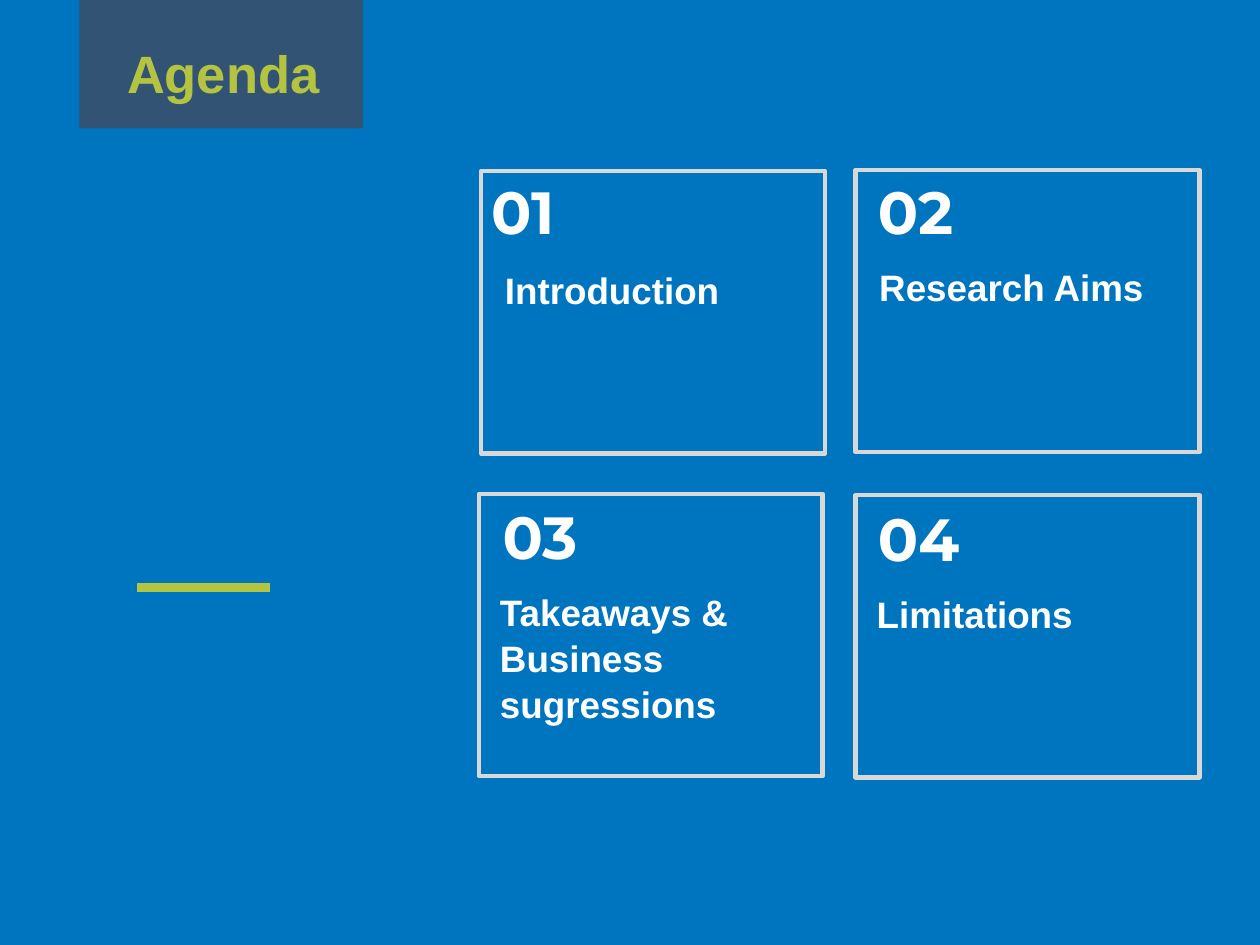
from pptx import Presentation
from pptx.dml.color import RGBColor
from pptx.enum.shapes import MSO_CONNECTOR, MSO_SHAPE
from pptx.enum.text import MSO_ANCHOR, PP_ALIGN
from pptx.oxml.ns import qn
from pptx.util import Inches, Pt

BLUE = RGBColor(0x00, 0x75, 0xBF)
NAVY = RGBColor(0x33, 0x53, 0x75)
LIME = RGBColor(0xB4, 0xC4, 0x40)
GREY = RGBColor(0xD8, 0xD8, 0xD8)
WHITE = RGBColor(0xFF, 0xFF, 0xFF)

TITLE = "Agenda"
CARD_SIZE = (2.73, 2.24)
NUMBER_SIZE = (1.54, 1.11)
# Card corner, number corner, label box, label
CARDS = [
    ((3.82, 1.36), (3.8, 1.32), (3.91, 2.06, 2.07, 1.01), "Introduction"),
    ((6.79, 1.35), (6.87, 1.32), (6.88, 2.04, 2.53, 1.22), "Research Aims"),
    ((3.8, 3.92), (3.89, 3.9), (3.87, 4.62, 2.73, 1.22),
     "Takeaways & Business sugressions"),
    ((6.79, 3.93), (6.87, 3.91), (6.86, 4.63, 2.73, 1.22), "Limitations"),
]
NUMBER_FONT = {"name": "Montserrat", "size": Pt(34), "bold": True}
LABEL_FONT = {"name": "Arial", "size": Pt(21), "bold": True}
TITLE_FONT = {"name": "Arial", "size": Pt(30), "bold": True}


def add_rect(slide, box, fill=None, line=None):
    s = slide.shapes.add_shape(MSO_SHAPE.RECTANGLE, *map(Inches, box))
    s.shadow.inherit = False
    if fill is None:
        s.fill.background()
    else:
        s.fill.solid()
        s.fill.fore_color.rgb = fill
    if line is None:
        s.line.fill.background()
    else:
        s.line.color.rgb = line
        s.line.width = Pt(2.5)


def add_text(slide, box, text, font, color, spacing=1.04):
    tf = slide.shapes.add_textbox(*map(Inches, box)).text_frame
    tf.word_wrap = True
    tf.vertical_anchor = MSO_ANCHOR.TOP
    p = tf.paragraphs[0]
    p.alignment = PP_ALIGN.LEFT
    p.line_spacing = spacing
    r = p.add_run()
    r.text = text
    for name, value in font.items():
        setattr(r.font, name, value)
    r.font.color.rgb = color


prs = Presentation()
prs.slide_width, prs.slide_height = Inches(10), Inches(7.5)
slide = prs.slides.add_slide(prs.slide_layouts[6])

# Background and accent line
add_rect(slide, (0, 0, 10, 7.5), fill=BLUE)
accent = slide.shapes.add_connector(
    MSO_CONNECTOR.STRAIGHT, *map(Inches, (1.09, 4.66, 2.14, 4.66)))
accent.line.color.rgb = LIME
accent.line.width = Pt(5)
sp_pr = accent._element.spPr
sp_pr.append(sp_pr.makeelement(qn("a:effectLst"), {}))

# Title on its tab
add_rect(slide, (0.63, 0, 2.25, 1.02), fill=NAVY)
add_text(slide, (0.91, 0.24, 1.91, 0.61), TITLE, TITLE_FONT, LIME, 1.08)

# Numbered agenda cards
for number, (corner, number_corner, label_box, label) in enumerate(CARDS, 1):
    add_rect(slide, corner + CARD_SIZE, line=GREY)
    add_text(slide, number_corner + NUMBER_SIZE, f"{number:02d}",
             NUMBER_FONT, WHITE)
    add_text(slide, label_box, label, LABEL_FONT, WHITE)

prs.save("out.pptx")
